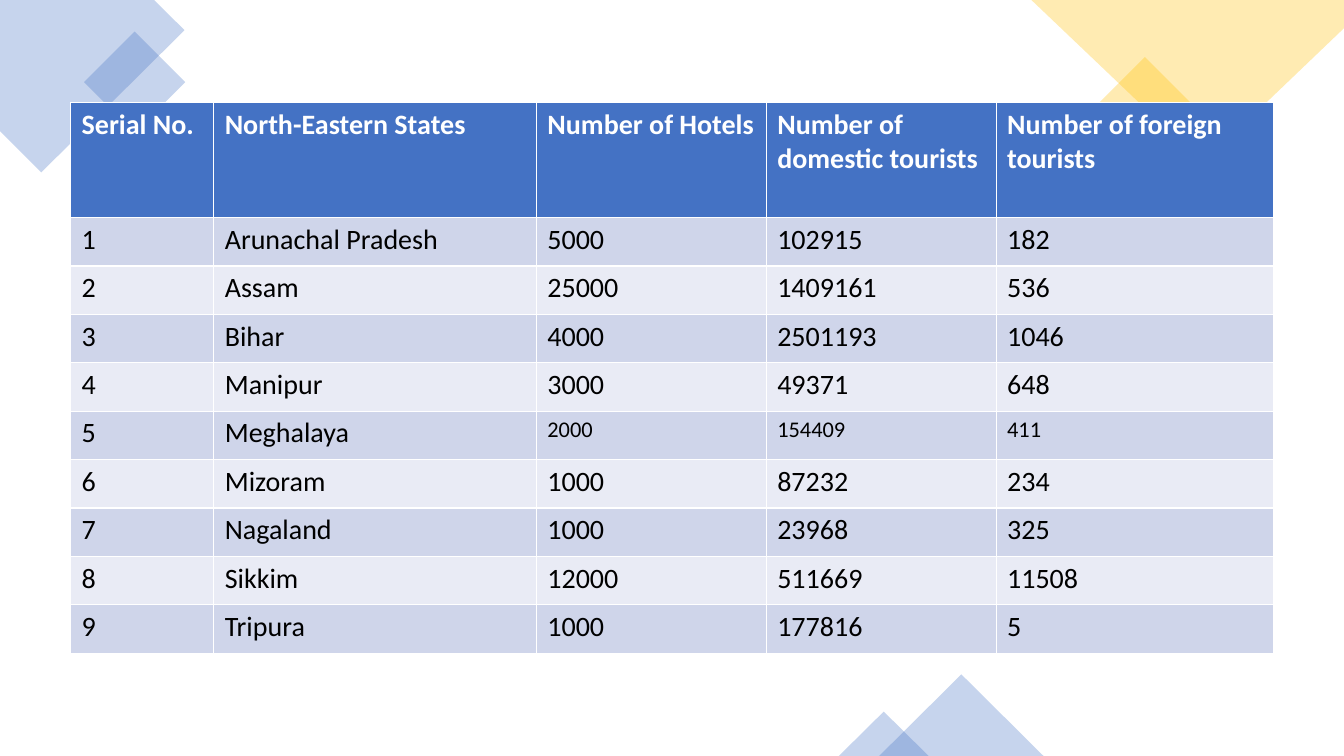
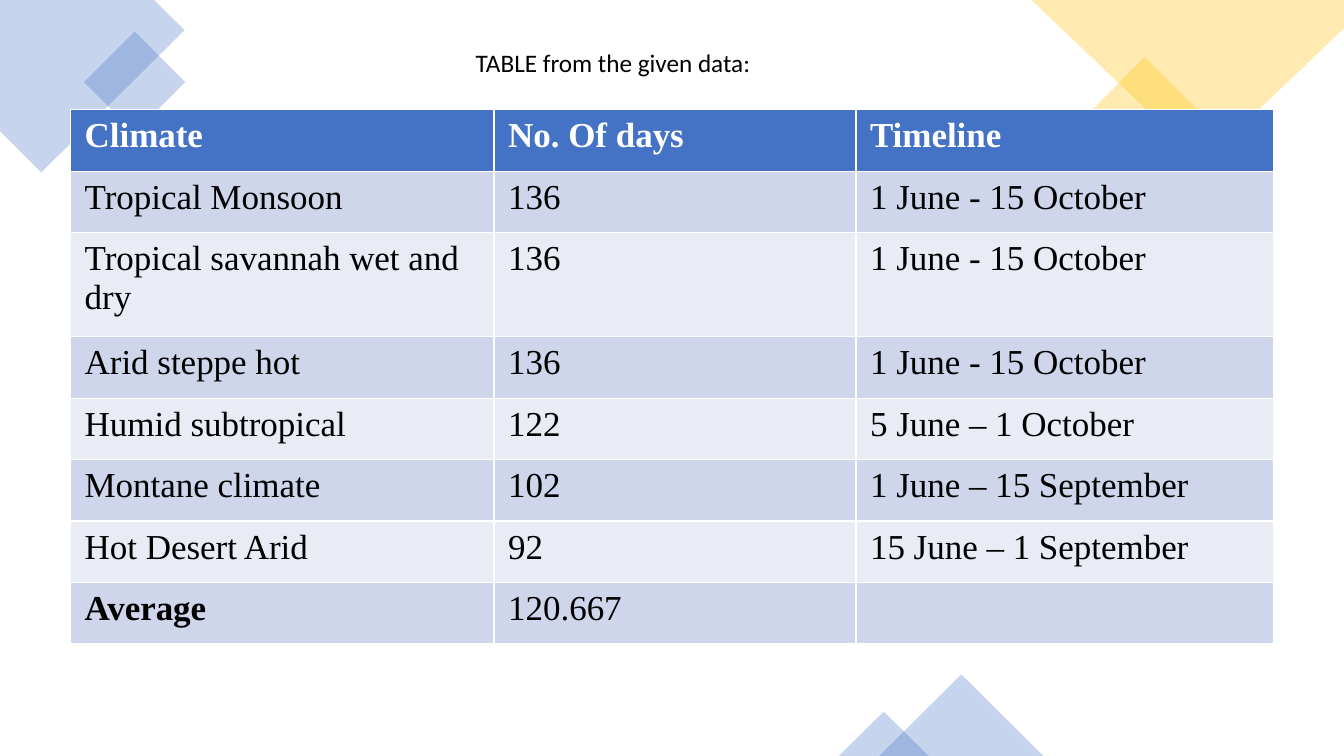
from lxml import etree
from pptx import Presentation
from pptx.dml.color import RGBColor
from pptx.enum.shapes import MSO_SHAPE
from pptx.oxml.ns import qn
from pptx.util import Pt

PX = 9144  # 100 px to the inch
RECTANGLE = MSO_SHAPE.RECTANGLE
TRIANGLE = MSO_SHAPE.ISOSCELES_TRIANGLE

BLUE, GOLD, WHITE, BLACK = "4472C4", "FFC000", "FFFFFF", "000000"
BANDS = ("CFD5EA", "E9EBF5")
OPACITY = 30

BLUE_CORNER = [(153, 0), (0, 0), (0, 130), (41, 171), (183, 30)]
GOLD_CORNER = [(1333, 0), (1023, 0), (1193, 162), (1333, 28)]
# preset, left, top, width, height, rotation, colour
DIAMONDS = [
    (RECTANGLE, 98, 46, 71, 71, 45, BLUE),
    (RECTANGLE, 1098, 72, 75, 75, 45, GOLD),
]
PEAKS = [
    (TRIANGLE, 872, 669, 163, 81, 0, BLUE),
    (TRIANGLE, 832, 706, 89, 44, 0, BLUE),
]

TABLE_LEFT = 70
HOTELS = {
    "top": 102, "font": "Calibri", "size": 20, "insets": (11, 5),
    "columns": [142, 320, 228, 228, 275],
    "heights": [114] + [48] * 9,
    "sizes": {(5, 2): 16, (5, 3): 16, (5, 4): 16},
    "bold": set(),
    "rows": [
        ("Serial No.", "North-Eastern States", "Number of Hotels",
         "Number of domestic tourists", "Number of foreign tourists"),
        ("1", "Arunachal Pradesh", "5000", "102915", "182"),
        ("2", "Assam", "25000", "1409161", "536"),
        ("3", "Bihar", "4000", "2501193", "1046"),
        ("4", "Manipur", "3000", "49371", "648"),
        ("5", "Meghalaya", "2000", "154409", "411"),
        ("6", "Mizoram", "1000", "87232", "234"),
        ("7", "Nagaland", "1000", "23968", "325"),
        ("8", "Sikkim", "12000", "511669", "11508"),
        ("9", "Tripura", "1000", "177816", "5"),
    ],
}
CLIMATES = {
    "top": 109, "font": "Times New Roman", "size": 25, "insets": (14, 7),
    "columns": [420, 359, 414],
    "heights": [61, 61, 103] + [61] * 5,
    "sizes": {},
    "bold": {(7, 0)},
    "rows": [
        ("Climate", "No. Of days", "Timeline"),
        ("Tropical Monsoon", "136", "1 June - 15 October"),
        ("Tropical savannah wet and dry", "136", "1 June - 15 October"),
        ("Arid steppe hot", "136", "1 June - 15 October"),
        ("Humid subtropical", "122", "5 June – 1 October"),
        ("Montane climate", "102", "1 June – 15 September"),
        ("Hot Desert Arid", "92", "15 June – 1 September"),
        ("Average", "120.667", ""),
    ],
}
CAPTION = "TABLE from the given data:"
CAPTION_BOX = (462, 42, 300, 40)


def px(*lengths):
    return [length * PX for length in lengths]


def rgb(colour):
    return RGBColor.from_string(colour)


def tint(shape, colour):
    """Give a shape a see-through fill without line or shadow."""
    shape.shadow.inherit = False
    shape.line.fill.background()
    shape.fill.solid()
    shape.fill.fore_color.rgb = rgb(colour)
    fill = shape.fill._xPr.find(qn("a:solidFill"))
    etree.SubElement(fill[0], qn("a:alpha"), val=str(OPACITY * 1000))


def add_corner(page, points, colour):
    builder = page.shapes.build_freeform(*points[0], scale=PX)
    builder.add_line_segments(points[1:], close=True)
    tint(builder.convert_to_shape(), colour)


def add_presets(page, presets):
    for preset, left, top, width, height, rotation, colour in presets:
        shape = page.shapes.add_shape(preset, *px(left, top, width, height))
        shape.rotation = rotation
        tint(shape, colour)


def add_page(deck):
    """Add a blank page with the shared corner and edge decoration."""
    page = deck.slides.add_slide(deck.slide_layouts[6])
    add_corner(page, BLUE_CORNER, BLUE)
    add_presets(page, DIAMONDS)
    add_corner(page, GOLD_CORNER, GOLD)
    add_presets(page, PEAKS)
    return page


def add_span(para, text, font, size, colour, bold=False):
    span = para.add_run()
    span.text = text
    span.font.name = font
    span.font.size = Pt(size)
    span.font.bold = bold
    span.font.color.rgb = rgb(colour)


def add_data_table(page, data):
    columns, heights, rows = data["columns"], data["heights"], data["rows"]
    frame = page.shapes.add_table(
        len(rows), len(columns),
        *px(TABLE_LEFT, data["top"], sum(columns), sum(heights)))
    table = frame.table
    for column, width in zip(table.columns, columns):
        column.width = width * PX
    for row, height in zip(table.rows, heights):
        row.height = height * PX
    side, edge = px(*data["insets"])
    for r, texts in enumerate(rows):
        header = r == 0
        for c, text in enumerate(texts):
            cell = table.cell(r, c)
            cell.margin_left = cell.margin_right = side
            cell.margin_top = cell.margin_bottom = edge
            cell.fill.solid()
            cell.fill.fore_color.rgb = rgb(BLUE if header else BANDS[(r - 1) % 2])
            if text:
                add_span(cell.text_frame.paragraphs[0], text, data["font"],
                         data["sizes"].get((r, c), data["size"]),
                         WHITE if header else BLACK,
                         header or (r, c) in data["bold"])


def main():
    deck = Presentation()
    deck.slide_width, deck.slide_height = px(1333, 750)

    add_data_table(add_page(deck), HOTELS)

    page = add_page(deck)
    add_data_table(page, CLIMATES)
    box = page.shapes.add_textbox(*px(*CAPTION_BOX))
    box.text_frame.word_wrap = True
    add_span(box.text_frame.paragraphs[0], CAPTION, "Calibri", 18, BLACK)

    deck.save("out.pptx")


if __name__ == "__main__":
    main()
